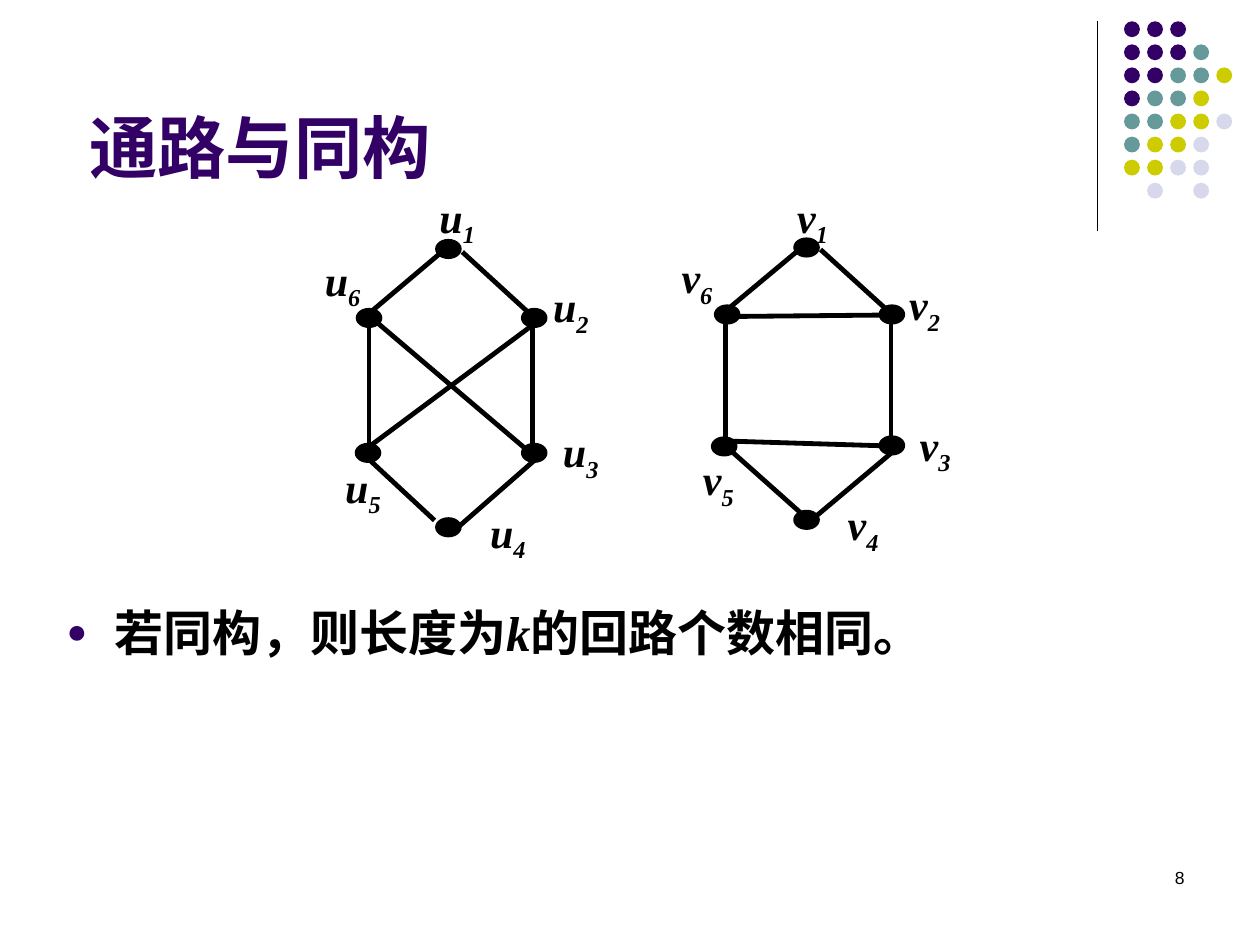
from lxml import etree
from pptx import Presentation
from pptx.dml.color import RGBColor
from pptx.enum.shapes import MSO_CONNECTOR, MSO_SHAPE
from pptx.enum.text import MSO_ANCHOR, MSO_AUTO_SIZE, PP_ALIGN
from pptx.oxml.ns import qn
from pptx.util import Cm, Pt

LINE = MSO_CONNECTOR.STRAIGHT
OVAL = MSO_SHAPE.OVAL
LEFT, RIGHT = PP_ALIGN.LEFT, PP_ALIGN.RIGHT
BOTTOM, TOP = MSO_ANCHOR.BOTTOM, MSO_ANCHOR.TOP
FIXED = MSO_AUTO_SIZE.NONE
BLACK, PURPLE = "000000", "330066"
SANS, SERIF = "Arial", "Times New Roman"

TITLE = "通路与同构"
CLAIM = ["若同构，则长度为", "k", "的回路个数相同。"]
PAGE = "8"

TINTS = {"P": PURPLE, "T": "669999", "Y": "CCCC00", "L": "D8D8EC"}
DOTS = ["PPP", "PPPT", "PPTTY", "PTTY", "TTYYL", "TYYL", "YYLL", " L L"]
DOT, STEP = 0.32, 0.465
DOT_X, DOT_Y = 22.66, 0.43

NODE_W, NODE_H = 0.51, 0.38
GRAPHS = [
    {
        "name": "u",
        "nodes": [(9.04, 5.02), (10.77, 6.41), (10.77, 9.13),
                  (9.04, 10.63), (7.42, 9.13), (7.44, 6.41)],
        "labels": [(8.61, 3.73), (10.9, 5.54), (11.1, 8.46),
                   (9.63, 10.08), (6.71, 9.17), (6.3, 5)],
        "edges": [(7.52, 6.25, 8.94, 5.05), (10.74, 6.55, 7.42, 9.02),
                  (10.74, 6.55, 10.74, 8.99), (10.74, 9.17, 7.54, 6.45),
                  (7.44, 6.55, 7.44, 8.99), (9.32, 5.08, 10.74, 6.38),
                  (7.34, 9.17, 8.76, 10.49), (9.22, 10.64, 10.9, 9.17)],
    },
    {
        "name": "v",
        "nodes": [(16.26, 4.99), (17.98, 6.34), (17.98, 8.98),
                  (16.26, 10.48), (14.6, 9), (14.66, 6.34)],
        "labels": [(15.82, 3.73), (18.08, 5.49), (18.29, 8.33),
                   (16.84, 9.93), (13.92, 9.02), (13.49, 4.95)],
        "edges": [(14.71, 6.2, 16.15, 5), (17.91, 8.99, 14.63, 8.89),
                  (17.96, 6.48, 17.96, 8.86), (17.91, 6.35, 14.76, 6.38),
                  (14.63, 6.48, 14.63, 8.86), (16.54, 5.03, 17.96, 6.32),
                  (14.66, 9.02, 16.31, 10.49), (16.41, 10.44, 18.08, 9.04)],
    },
]


def paint(part, tint):
    part.rgb = RGBColor.from_string(tint)


def style(font, face, size, tint=BLACK, bold=True, slant=False):
    font.name, font.size = face, Pt(size)
    font.bold, font.italic = bold, slant
    paint(font.color, tint)


def place(shape, x, y, w, h):
    shape.left, shape.top = Cm(x), Cm(y)
    shape.width, shape.height = Cm(w), Cm(h)


def draw_line(slide, ends, width):
    line = slide.shapes.add_connector(LINE, *map(Cm, ends))
    line.line.width = Pt(width)
    paint(line.line.color, BLACK)
    props = line._element.find(qn("p:spPr"))
    etree.SubElement(props, qn("a:effectLst"))


def draw_oval(slide, x, y, w, h, tint, edge=False):
    oval = slide.shapes.add_shape(OVAL, Cm(x), Cm(y), Cm(w), Cm(h))
    oval.shadow.inherit = False
    oval.fill.solid()
    paint(oval.fill.fore_color, tint)
    if edge:
        oval.line.width = Pt(0.75)
        paint(oval.line.color, tint)
    else:
        oval.line.fill.background()


def add_text(slide, x, y, w, h):
    box = slide.shapes.add_textbox(Cm(x), Cm(y), Cm(w), Cm(h))
    box.text_frame.word_wrap = True
    return box.text_frame.paragraphs[0]


def add_bullet(para):
    props = para._p.get_or_add_pPr()
    props.set("marL", str(Cm(0.97)))
    props.set("indent", str(-Cm(0.97)))
    color = etree.SubElement(props, qn("a:buClr"))
    etree.SubElement(color, qn("a:srgbClr"), val=PURPLE)
    etree.SubElement(props, qn("a:buSzPct"), val="70000")
    etree.SubElement(props, qn("a:buFont"), typeface=SANS)
    etree.SubElement(props, qn("a:buChar"), char="●")


def draw_graph(slide, graph):
    for ends in graph["edges"]:
        draw_line(slide, ends, 2.75)
    for x, y in graph["nodes"]:
        draw_oval(slide, x - NODE_W / 2, y - NODE_H / 2,
                  NODE_W, NODE_H, BLACK, edge=True)
    for num, (x, y) in enumerate(graph["labels"], 1):
        para = add_text(slide, x, y, 1.6, 1.42)
        for text in (graph["name"], str(num)):
            run = para.add_run()
            run.text = text
            style(run.font, SERIF, 24, slant=True)
        run.font._element.set("baseline", "-25000")


def main():
    """Build the slide on paths and isomorphism of two graphs."""
    deck = Presentation()
    deck.slide_width, deck.slide_height = Cm(25.4), Cm(19.05)
    slide = deck.slides.add_slide(deck.slide_layouts[1])

    draw_line(slide, (22.12, 0.43, 22.12, 4.65), 0.75)
    for row, codes in enumerate(DOTS):
        for col, code in enumerate(codes):
            if code in TINTS:
                draw_oval(slide, DOT_X + col * STEP, DOT_Y + row * STEP,
                          DOT, DOT, TINTS[code])

    title = slide.shapes.title
    place(title, 1.55, 1.32, 20.35, 2.59)
    frame = title.text_frame
    frame.text = TITLE
    frame.auto_size, frame.vertical_anchor = FIXED, BOTTOM
    frame.paragraphs[0].alignment = LEFT
    style(frame.paragraphs[0].runs[0].font, SANS, 39, PURPLE)

    for graph in GRAPHS:
        draw_graph(slide, graph)

    body = slide.placeholders[1]
    place(body, 1.09, 12.01, 22.86, 4.72)
    frame = body.text_frame
    frame.auto_size, frame.vertical_anchor = FIXED, TOP
    para = frame.paragraphs[0]
    para.space_before = Pt(0)
    add_bullet(para)
    for text in CLAIM:
        run = para.add_run()
        run.text = text
        style(run.font, SERIF, 28, slant=text == "k")

    para = add_text(slide, 18.21, 17.35, 5.92, 1.27)
    para.text = PAGE
    para.alignment = RIGHT
    style(para.runs[0].font, SANS, 10, bold=False)

    deck.save("out.pptx")


if __name__ == "__main__":
    main()
